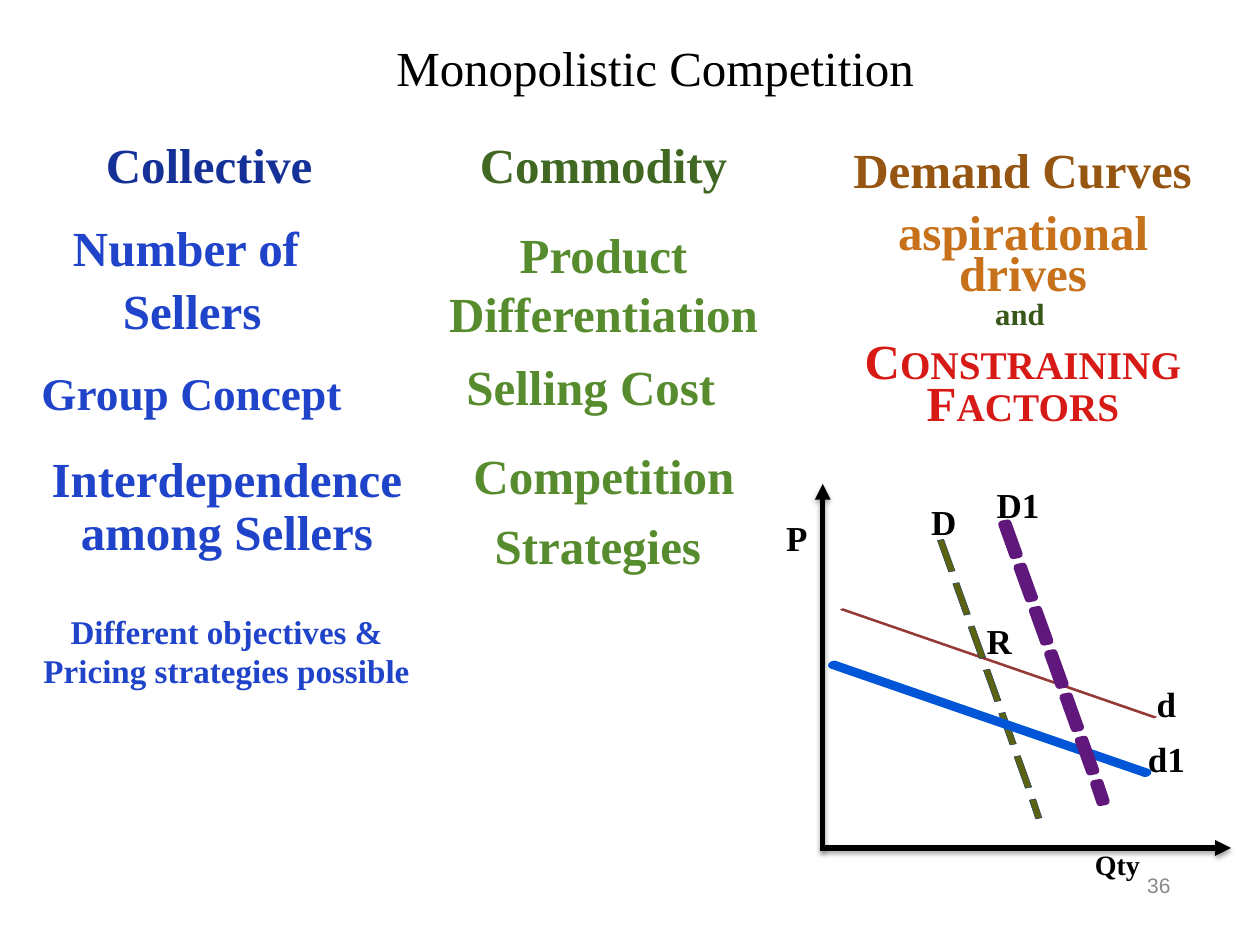
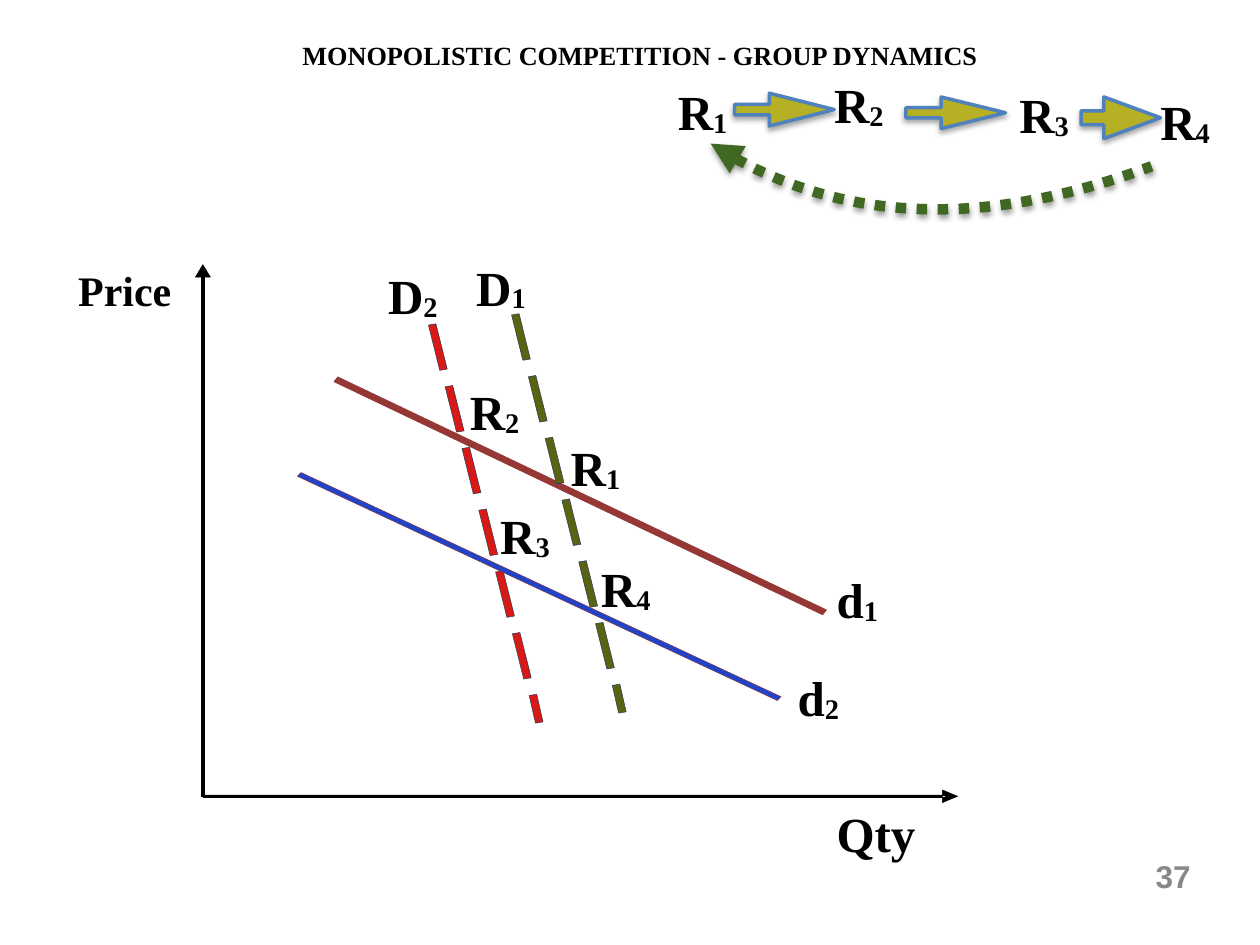
import pptx
import pptx.chart.data
import pptx.dml.color
import pptx.enum.shapes
import pptx.enum.text
import pptx.oxml
import pptx.oxml.ns
import pptx.util

# Shared scale, fonts and colours
EMU_PER_PX = 9144  # 100 px to the inch
SERIF, SANS = "Times New Roman", "Arial"
BLACK, GREY, NAVY_EDGE = "000000", "888888", "17375E"
BLUE, GREEN, RED, MAROON, OLIVE = "1F43C9", "578C2E", "D71A16", "953735", "5B6313"
ARROW_FILL, ARROW_EDGE, LOOP_GREEN = "B6B024", "4F81BD", "406823"
ALIGN = pptx.enum.text.PP_ALIGN
MIDDLE = pptx.enum.text.MSO_ANCHOR.MIDDLE


def px(length):
    return pptx.util.Emu(round(length * EMU_PER_PX))


def rgb(colour):
    return pptx.dml.color.RGBColor.from_string(colour)


# Text
def add_text(slide, text, box, size, colour=BLACK, bold=True, font=SERIF,
             align=ALIGN.CENTER, inset=5, anchor=None, spacing=None, gap=0):
    shape = slide.shapes.add_textbox(*map(px, box))
    frame = shape.text_frame
    frame.word_wrap = True
    frame.margin_left = frame.margin_right = px(inset)
    frame.margin_top = frame.margin_bottom = px(inset)
    if anchor is not None:
        frame.vertical_anchor = anchor
    frame.text = text
    for index, paragraph in enumerate(frame.paragraphs):
        paragraph.alignment = align
        if spacing:
            paragraph.line_spacing = spacing
        if index:
            paragraph.space_before = pptx.util.Pt(gap)
        for run in paragraph.runs:
            format_run(run, size, colour, bold, font)
    return shape


def format_run(run, size, colour, bold=True, font=SERIF):
    run.font.name = font
    run.font.size = pptx.util.Pt(size)
    run.font.bold = bold
    run.font.color.rgb = rgb(colour)


def add_title(slide, text, box, size, bold):
    add_text(slide, text, box, size, bold=bold, anchor=MIDDLE)


def add_page_number(slide, number, box, size, bold):
    add_text(slide, number, box, size, GREY, bold, SANS, ALIGN.RIGHT, anchor=MIDDLE)


def add_label(slide, text, left, top, size=20, width=50, subscript=None):
    shape = add_text(slide, text, (left, top, width, size * 5 / 3), size,
                     align=ALIGN.LEFT, inset=0)
    if subscript:
        run = shape.text_frame.paragraphs[0].add_run()
        run.text = subscript
        format_run(run, size, BLACK)
        run.font._element.set("baseline", "-6000")


# Lines and outlines
def add_shadow(shape, opacity=None, distance=0):
    """Replace the theme shadow with a soft one below, or with none."""
    properties = shape._element.spPr
    for old in properties.findall(pptx.oxml.ns.qn("a:effectLst")):
        properties.remove(old)
    shadow = ""
    if opacity:
        shadow = (f'<a:outerShdw blurRad="38100" dist="{round(distance * 12700)}" '
                  f'dir="5400000" rotWithShape="0"><a:srgbClr val="{BLACK}">'
                  f'<a:alpha val="{opacity * 1000}"/></a:srgbClr></a:outerShdw>')
    properties.append(pptx.oxml.parse_xml(
        f'<a:effectLst {pptx.oxml.ns.nsdecls("a")}>{shadow}</a:effectLst>'))


def add_arrowhead(shape, end):
    shape.line._get_or_add_ln().append(pptx.oxml.parse_xml(
        f'<a:{end} {pptx.oxml.ns.nsdecls("a")} type="triangle"/>'))


def style(shape, fill, line, width):
    if fill:
        shape.fill.solid()
        shape.fill.fore_color.rgb = rgb(fill)
    else:
        shape.fill.background()
    shape.line.color.rgb = rgb(line)
    shape.line.width = pptx.util.Pt(width)
    add_shadow(shape)


def add_outline(slide, contours, fill, line, width=0.25, close=True):
    contours = [[(px(x), px(y)) for x, y in contour] for contour in contours]
    builder = slide.shapes.build_freeform(*contours[0][0])
    for index, contour in enumerate(contours):
        if index:
            builder.move_to(*contour[0])
        builder.add_line_segments(contour[1:], close=close)
    shape = builder.convert_to_shape()
    style(shape, fill, line, width)
    return shape


def band(start, run, offset):
    """Corners of a thin slanted band."""
    (x, y), (run_x, run_y), (offset_x, offset_y) = start, run, offset
    return [(x, y), (x + run_x, y + run_y),
            (x + run_x + offset_x, y + run_y + offset_y), (x + offset_x, y + offset_y)]


def add_demand(slide, start, run, offset, fill, line, width=0.25):
    add_outline(slide, [band(start, run, offset)], fill, line, width)


def add_dashed_demand(slide, start, reach, dash, tail, offset, fill, line, width=0.25):
    """Six equal dashes and a shorter tail, evenly spaced over the reach."""
    dashes = []
    for index in range(7):
        corner = tuple(s + r * index / 6 for s, r in zip(start, reach))
        dashes.append(band(corner, tail if index == 6 else dash, offset))
    add_outline(slide, dashes, fill, line, width)


def add_axis(slide, start, end):
    axis = slide.shapes.add_connector(
        pptx.enum.shapes.MSO_CONNECTOR.STRAIGHT, *map(px, start + end))
    axis.line.color.rgb = rgb(BLACK)
    axis.line.width = pptx.util.Pt(3)
    add_arrowhead(axis, "tailEnd")
    add_shadow(axis, 38, 1.6)


def add_step_arrow(slide, box, shaft, head):
    arrow = slide.shapes.add_shape(
        pptx.enum.shapes.MSO_SHAPE.RIGHT_ARROW, *map(px, box))
    arrow.adjustments[0] = shaft
    arrow.adjustments[1] = head
    style(arrow, ARROW_FILL, ARROW_EDGE, 2)
    add_shadow(arrow, 35, 1.8)


def add_return_loop(slide, controls):
    """Dotted cubic curve with its arrowhead at the first point."""
    points = []
    for step in range(41):
        t = step / 40
        weights = ((1 - t) ** 3, 3 * t * (1 - t) ** 2, 3 * t * t * (1 - t), t ** 3)
        points.append([sum(w * c for w, c in zip(weights, axis)) for axis in zip(*controls)])
    loop = add_outline(slide, [points], None, LOOP_GREEN, 6, close=False)
    loop.line.dash_style = pptx.enum.dml.MSO_LINE.ROUND_DOT
    add_arrowhead(loop, "headEnd")
    add_shadow(loop, 38, 1.6)


# Slides
def build_overview(slide):
    add_title(slide, "Monopolistic Competition", (95, 20, 850, 66), 28, False)
    add_page_number(slide, "36", (895, 688, 39, 29), 12, False)

    # Column headings
    for text, box, colour in (
            ("Collective", (33, 102, 266, 71), "153197"),
            ("Commodity", (346, 102, 266, 71), "406823"),
            ("Demand Curves", (667, 106, 289, 67), "965612")):
        add_text(slide, text, box, 28, colour)

    # Column entries: text, box, size, colour, line spacing, paragraph gap
    for text, box, size, colour, spacing, gap in (
            ("Number of \nSellers", (14, 173, 277, 106), 28, BLUE, 0.9, 6),
            ("Group Concept", (19, 285, 266, 71), 25.9, BLUE, None, 0),
            ("Interdependence among Sellers", (14, 356, 332, 98), 28, BLUE, 0.9, 0),
            ("Different objectives & Pricing strategies possible",
             (14, 480, 332, 98), 18.9, BLUE, None, 0),
            ("Product Differentiation", (346, 173, 266, 88), 28, GREEN, None, 0),
            ("Selling Cost", (356, 278, 226, 71), 28, GREEN, None, 0),
            (" Competition\nStrategies", (346, 349, 257, 105), 28, GREEN, None, 6),
            ("aspirational\ndrives", (679, 175, 266, 110), 28, "C7711B", 0.5, 7),
            ("and ", (734, 235, 157, 36), 17.5, "38571A", 0.8, 0)):
        add_text(slide, text, box, size, colour, spacing=spacing, gap=gap)
    constraint = add_text(slide, "Constraining \nFactors", (679, 278, 266, 99), 28, RED,
                          spacing=0.5, gap=7)
    for paragraph in constraint.text_frame.paragraphs:
        paragraph.runs[0].font._element.set("cap", "small")

    # Demand diagram
    slope, thin = (249, 86), (-2, 1)
    steep = dict(reach=(73, 206), dash=(9, 25), tail=(5, 15), offset=(-5, 1), fill=OLIVE)
    add_demand(slide, (669, 483), slope, thin, MAROON, MAROON)
    add_dashed_demand(slide, (749, 428), line=NAVY_EDGE, **steep)
    add_axis(slide, (653, 673), (977, 673))
    add_axis(slide, (653, 675), (653, 384))
    add_demand(slide, (662, 527), slope, thin, MAROON, "0056D6", 4)
    add_dashed_demand(slide, (800, 415), line="61187C", width=4, **steep)
    for text, left, top in (("R", 783, 492), ("d", 918, 542), ("D", 739, 397),
                            ("P", 624, 410), ("d1", 911, 585), ("D1", 791, 384)):
        add_label(slide, text, left, top)
    add_label(slide, "Qty", 869, 673, 16)


def build_dynamics(slide):
    add_title(slide, "MONOPOLISTIC COMPETITION - GROUP DYNAMICS", (215, 15, 586, 57), 15, True)
    add_page_number(slide, "37", (905, 676, 45, 39), 18, True)

    # Axes
    add_outline(slide, [[(162, 632), (162, 219), (160, 219), (160, 632)],
                        [(167, 220), (161, 210), (155, 220)]], BLACK, BLACK)
    add_outline(slide, [[(161, 631), (750, 631), (750, 633), (161, 633)],
                        [(748, 627), (760, 632), (748, 637)]], BLACK, BLACK)
    add_label(slide, "Price", 62, 210, 24, 85)
    add_label(slide, "Qty", 664, 638, 28, 75)

    # Demand curves
    steep = dict(reach=(80, 294), dash=(9, 36), tail=(5, 22), offset=(-6, 1), line=NAVY_EDGE)
    add_demand(slide, (268, 299), (388, 185), (-3, 4), MAROON, MAROON)
    add_dashed_demand(slide, (346, 257), fill=RED, **steep)
    add_demand(slide, (239, 375), (381, 178), (-3, 3), BLUE, MAROON)
    add_dashed_demand(slide, (412, 249), fill=OLIVE, **steep)

    # Curve and point labels, then the sequence of points
    for text, subscript, left, top in (
            ("D", "2", 308, 211), ("D", "1", 378, 204),
            ("d", "1", 664, 452), ("d", "2", 633, 530),
            ("R", "1", 453, 347), ("R", "2", 373, 303),
            ("R", "3", 397, 401), ("R", "4", 477, 443),
            ("R", "1", 538, 65), ("R", "2", 662, 59),
            ("R", "3", 809, 67), ("R", "4", 921, 73)):
        add_label(slide, text, left, top, 28, subscript=subscript)
    add_step_arrow(slide, (583, 74, 79, 26), 0.32, 1.98)
    add_step_arrow(slide, (719, 77, 79, 25), 0.32, 2.04)
    add_step_arrow(slide, (858, 77, 63, 33), 0.33, 1.36)
    add_return_loop(slide, ((564, 114), (662, 177), (778, 183), (914, 132)))


def main():
    presentation = pptx.Presentation()
    presentation.slide_width, presentation.slide_height = px(1000), px(750)
    for build in (build_overview, build_dynamics):
        build(presentation.slides.add_slide(presentation.slide_layouts[6]))
    presentation.save("out.pptx")


if __name__ == "__main__":
    main()
